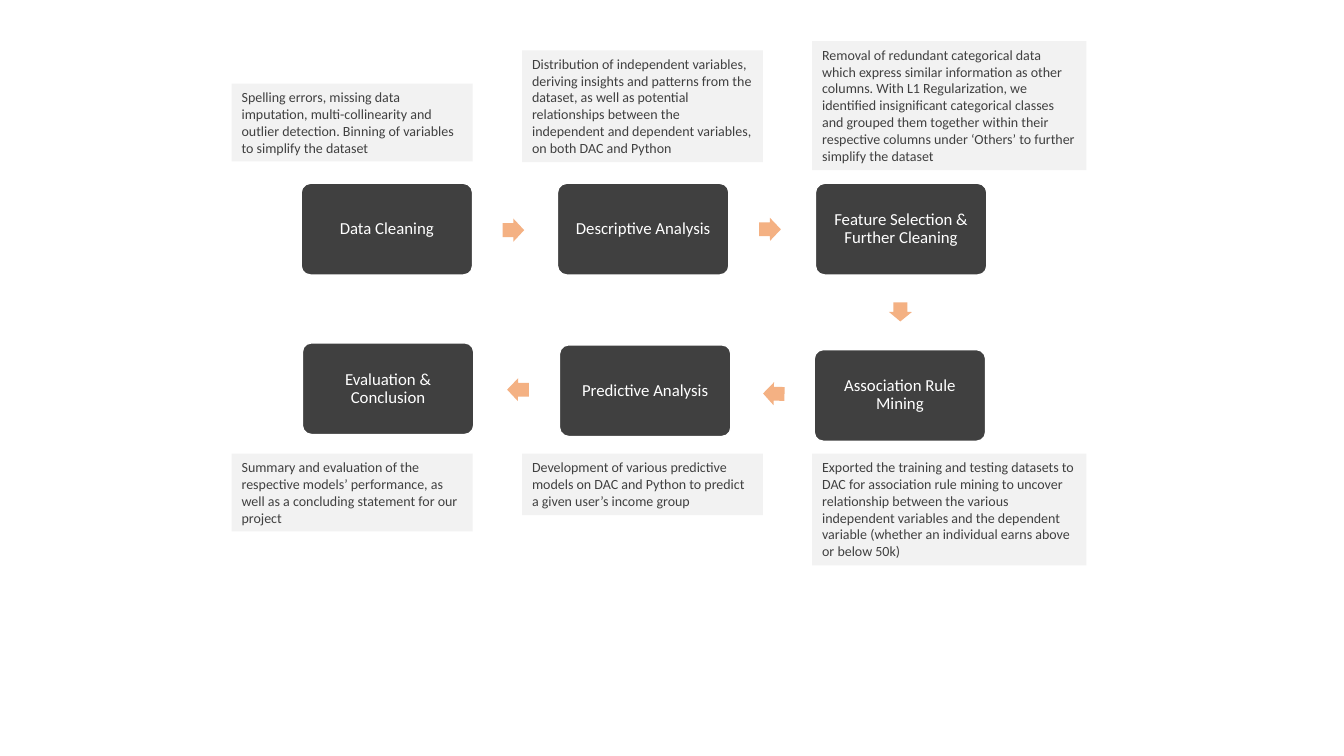
import pptx
import pptx.util
from pptx.dml.color import RGBColor
from pptx.enum.shapes import MSO_SHAPE
from pptx.enum.text import MSO_ANCHOR, MSO_AUTO_SIZE, PP_ALIGN
from pptx.util import Cm

COLOURS = {"dark": "404040", "light": "F2F2F2", "arrow": "F4B183", "white": "FFFFFF"}

STEPS = [
    ("Data Cleaning", 7.59, 4.62),
    ("Descriptive Analysis", 14.05, 4.62),
    ("Feature Selection & Further Cleaning", 20.55, 4.62),
    ("Association Rule Mining", 20.52, 8.81),
    ("Predictive Analysis", 14.1, 8.69),
    ("Evaluation & Conclusion", 7.62, 8.64),
]

ARROWS = [
    (12.67, 5.51, 0.54, 0),
    (19.13, 5.49, 0.55, 359.9),
    (22.45, 7.57, 0.48, 90.3),
    (19.23, 9.63, 0.54, 181.2),
    (12.78, 9.53, 0.55, 180.3),
]

NOTE_COLUMNS = [(5.84, 6.07), (13.16, 6.07), (20.47, 6.91)]
NOTE_ROWS = [
    [
        ("Spelling errors, missing data imputation, multi-collinearity and outlier "
         "detection. Binning of variables to simplify the dataset", 2.11, 1.96),
        ("Distribution of independent variables, deriving insights and patterns from the "
         "dataset, as well as potential relationships between the independent and "
         "dependent variables, on both DAC and Python", 1.27, 2.82),
        ("Removal of redundant categorical data which express similar information as other "
         "columns. With L1 Regularization, we identified insignificant categorical classes "
         "and grouped them together within their respective columns under ‘Others’ to "
         "further simplify the dataset", 1.04, 3.25),
    ],
    [
        ("Summary and evaluation of the respective models’ performance, as well as a "
         "concluding statement for our project", 11.43, 1.96),
        ("Development of various predictive models on DAC and Python to predict a given "
         "user’s income group", 11.43, 1.55),
        ("Exported the training and testing datasets to DAC for association rule mining to "
         "uncover relationship between the various independent variables and the dependent "
         "variable (whether an individual earns above or below 50k)", 11.43, 2.82),
    ],
]


class ProcessPage:
    """Draws the elements of a process flow in one style on one slide."""

    def __init__(self, page, font="Calibri"):
        self.page = page
        self.font = font

    def shape(self, kind, left, top, width, height, fill):
        box = self.page.shapes.add_shape(kind, Cm(left), Cm(top), Cm(width), Cm(height))
        box.shadow.inherit = False
        box.fill.solid()
        box.fill.fore_color.rgb = RGBColor.from_string(COLOURS[fill])
        box.line.fill.background()
        return box

    def label(self, box, text, size, colour, align, anchor):
        frame = box.text_frame
        frame.text = text
        frame.word_wrap = True
        frame.vertical_anchor = anchor
        para = frame.paragraphs[0]
        para.alignment = align
        span = para.runs[0]
        span.font.name = self.font
        span.font.size = pptx.util.Pt(size)
        span.font.color.rgb = RGBColor.from_string(COLOURS[colour])
        return frame

    def step(self, text, left, top):
        box = self.shape(MSO_SHAPE.ROUNDED_RECTANGLE, left, top, 4.32, 2.31, "dark")
        box.adjustments[0] = 0.1
        box.line.color.rgb = RGBColor.from_string(COLOURS["white"])
        box.line.width = pptx.util.Pt(1)
        frame = self.label(box, text, 12, "white", PP_ALIGN.CENTER, MSO_ANCHOR.MIDDLE)
        frame.margin_left = frame.margin_right = Cm(0.13)
        frame.margin_top = frame.margin_bottom = Cm(0.13)
        frame.paragraphs[0].line_spacing = 0.9

    def arrow(self, left, top, width, rotation):
        box = self.shape(MSO_SHAPE.RIGHT_ARROW, left, top, width, 0.58, "arrow")
        box.adjustments[0] = 0.6
        box.adjustments[1] = 0.5
        box.rotation = rotation

    def note(self, text, left, top, width, height):
        box = self.shape(MSO_SHAPE.RECTANGLE, left, top, width, height, "light")
        frame = self.label(box, text, 10, "dark", PP_ALIGN.LEFT, MSO_ANCHOR.TOP)
        frame.auto_size = MSO_AUTO_SIZE.SHAPE_TO_FIT_TEXT


def main():
    deck = pptx.Presentation()
    deck.slide_width = Cm(33.87)
    deck.slide_height = Cm(19.05)
    flow = ProcessPage(deck.slides.add_slide(deck.slide_layouts[6]))
    for step in STEPS:
        flow.step(*step)
    for arrow in ARROWS:
        flow.arrow(*arrow)
    for row in NOTE_ROWS:
        for (left, width), (text, top, height) in zip(NOTE_COLUMNS, row):
            flow.note(text, left, top, width, height)
    deck.save("out.pptx")


if __name__ == "__main__":
    main()
